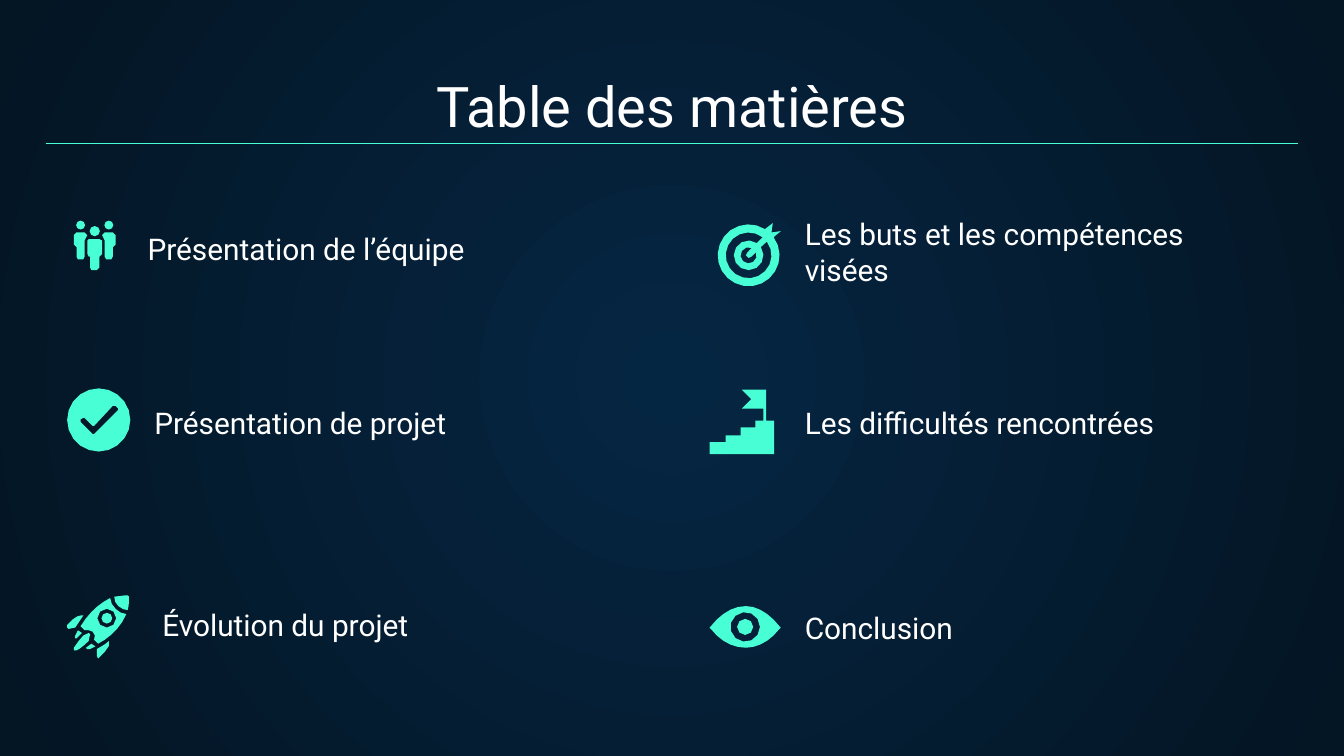
from math import cos, dist, radians, sin

from lxml.etree import SubElement
from pptx import Presentation
from pptx.dml.color import RGBColor
from pptx.enum.shapes import MSO_CONNECTOR
from pptx.enum.text import MSO_ANCHOR, MSO_AUTO_SIZE, PP_ALIGN
from pptx.oxml.ns import qn
from pptx.util import Inches, Pt

FONT, WHITE, MINT = "Roboto", "FFFFFF", "48FFD5"
CENTRE, EDGE = "052643", "041523"
COLS, ROWS = 100, 56.25  # square cells of a tenth of an inch
ICON_STEP = 0.1          # cells per icon unit


def cell(n):
    return Inches(n / 10)


def rgb(value):
    return RGBColor.from_string(value)


def set_text(sp, text, size=16, color=WHITE, align=PP_ALIGN.LEFT):
    tf = sp.text_frame
    tf.word_wrap = True
    tf.auto_size = MSO_AUTO_SIZE.NONE
    tf.vertical_anchor = MSO_ANCHOR.BOTTOM
    tf.margin_left = tf.margin_right = tf.margin_top = tf.margin_bottom = cell(1)
    p = tf.paragraphs[0]
    p.alignment = align
    r = p.add_run()
    r.text = text
    r.font.name, r.font.size, r.font.color.rgb = FONT, Pt(size), rgb(color)


def arc(cx, cy, radius, start=0, end=360):
    """Points along an arc, with angles in degrees; larger arcs get more."""
    n = min(20, max(8, round(radius)))
    angles = [radians(start + (end - start) * i / n) for i in range(n + 1)]
    return [(cx + radius * cos(a), cy + radius * sin(a)) for a in angles]


def curve(path):
    """Points of a path written with M, L and C commands."""
    points = []
    for part in path.replace("M", "L").replace("C", "|C").replace("L", "|").split("|"):
        values = [float(v) for v in part.replace("C", "").split()]
        pairs = list(zip(values[::2], values[1::2]))
        if not part.startswith("C"):
            points += pairs
            continue
        corners = [points[-1]] + pairs
        n = min(5, max(1, round(dist(corners[0], corners[3]) / 4)))
        for i in range(1, n + 1):
            t = i / n
            weights = ((1 - t) ** 3, 3 * t * (1 - t) ** 2, 3 * t * t * (1 - t), t ** 3)
            points.append(tuple(sum(w * c[k] for w, c in zip(weights, corners))
                                for k in (0, 1)))
    return points


def mirror(points, width):
    return [(width - x, y) for x, y in points]


# Each icon is a list of parts; each part is a list of outlines, holes included.
SIDE_HEAD = arc(5, 3.5, 3.3)
SIDE_BODY = curve("M 2 9 0 11 0 18 2 20 2 27 3 29 7 29 8 27 8 15 10 11 8 9")
TEAM = [
    [SIDE_HEAD], [SIDE_BODY], [mirror(SIDE_HEAD, 31)], [mirror(SIDE_BODY, 31)],
    [curve("M 11 14 10 15 10 25 11 27 12 27 12 35 13 37 17 37 19 35 19 27 "
           "21 25 21 15 19 14")],
    [arc(15.5, 8, 3.8)],
]
CHECK = [[
    arc(23.5, 23.5, 23.5),
    curve("M 35 13 36 13 38 15 38 16 20 34 19 34 10 25 10 23 12 22 13 22 19 28 20 28 34 13"),
]]
ROCKET = [
    [curve("M 9 26 7 30 7 32 8 32 12 28")],
    [curve("M 19 36 15 39 16 40 18 40 22 38")],
    [curve("M 17 28 C 16 28 14 29 13 30 C 9 34 7 38 6 39 L 6 41 8 41 "
           "C 10 40 13 38 17 34 C 18 32 19 30 18 29")],
    [curve("M 11 15 C 10 15 7 16 5 18 L 1 22 1 24 2 25 7 24 C 9 21 11 18 13 15")],
    [curve("M 32 34 C 29 37 26 38 23 40 L 23 45 24 47 25 46 29 42 C 32 39 33 36 32 34")],
    [arc(30.5, 17, 4)],
    [curve("M 44 0 36 1 C 36 4 37 6 39 8 C 41 10 44 11 46 11 C 47 8 47 5 47 1 L 46 0")],
    [curve("M 33 2 C 25 6 17 13 11 23 L 14 26 17 26 20 27 C 22 29 22 31 21 33 L 24 36 "
           "C 32 32 41 24 45 14 C 42 14 39 12 37 10 C 35 8 33 5 33 2"), arc(30.5, 17, 7)],
]
TARGET = [[
    arc(23, 24, 23, -58, -396) + [(47, 6), (40, 7), (41, 0)],
    arc(23, 24, 17, -37, 308) + arc(23, 24, 11, 304, -34),
    arc(23, 24, 6, -22, 292) + [(22, 22), (21, 24), (23, 26), (25, 25)],
]]
STAIRS = [[curve("M 24 0 31 7 24 14 40 14 40 23 34 23 34 28 23 28 23 34 12 34 12 39 "
                 "0 39 0 48 48 48 48 23 42 23 42 0")]]
EYE = [[
    curve("M 27 0 C 17 0 8 6 1 15 L 0 16 1 17 C 8 26 17 31 27 31 "
          "C 36 31 45 26 52 17 L 53 16 52 15 C 45 6 36 0 27 0"),
    arc(26.5, 15.5, 11), arc(26.5, 15.5, 6),
]]

# Icon, its column and row, text, and the text's box in cells
ENTRIES = [
    (TEAM, (5.5, 16.4), "Présentation de l’équipe", (10, 16.5, 31, 4.3)),
    (CHECK, (5, 28.9), "Présentation de projet", (10.5, 29.5, 31, 4.3)),
    (ROCKET, (4.9, 44.3), "Évolution du projet", (11.1, 44.5, 31, 4.3)),
    (TARGET, (53.4, 16.6), "Les buts et les compétences visées", (58.9, 15.8, 31, 6.6)),
    (STAIRS, (52.8, 29), "Les difficultés rencontrées", (58.9, 29.5, 31, 4.3)),
    (EYE, (52.8, 45.1), "Conclusion", (58.9, 43.5, 31, 5.5)),
]


def add_background(s):
    fill = s.background.fill
    fill.gradient()
    for stop, color, position in zip(fill.gradient_stops, (CENTRE, EDGE), (0, 1)):
        stop.color.rgb = rgb(color)
        stop.position = position
    grad = s.element.find(".//" + qn("a:gradFill"))
    grad.remove(grad.find(qn("a:lin")))
    circle = SubElement(grad, qn("a:path"), {"path": "circle"})
    SubElement(circle, qn("a:fillToRect"), dict.fromkeys("ltrb", "50000"))


def add_title(s, text, box):
    """Centred title with a rule across the box, just above its foot."""
    left, top, width, height = box
    sp = s.shapes.title
    sp.left, sp.top, sp.width, sp.height = map(cell, box)
    set_text(sp, text, size=30, align=PP_ALIGN.CENTER)
    y = cell(top + height - 0.6)
    line = s.shapes.add_connector(MSO_CONNECTOR.STRAIGHT, cell(left), y,
                                  cell(left + width), y)
    line.line.color.rgb = rgb(MINT)
    line.line.width = Pt(0.75)
    SubElement(line.element.spPr, qn("a:effectLst"))


def add_icon(s, parts, left, top):
    shapes = s.shapes if len(parts) == 1 else s.shapes.add_group_shape().shapes
    for outlines in parts:
        placed = [[(cell(left + x * ICON_STEP), cell(top + y * ICON_STEP))
                   for x, y in points] for points in outlines]
        builder = shapes.build_freeform(*placed[0][0])
        builder.add_line_segments(placed[0][1:], close=True)
        for points in placed[1:]:
            builder.move_to(*points[0])
            builder.add_line_segments(points[1:], close=True)
        sp = builder.convert_to_shape()
        sp.shadow.inherit = False
        sp.fill.solid()
        sp.fill.fore_color.rgb = rgb(MINT)
        sp.line.fill.background()


def add_entry(s, icon, spot, text, box):
    add_icon(s, icon, *spot)
    set_text(s.shapes.add_textbox(*map(cell, box)), text)


def main():
    prs = Presentation()
    prs.slide_width, prs.slide_height = cell(COLS), cell(ROWS)
    s = prs.slides.add_slide(prs.slide_layouts[5])
    add_background(s)
    add_title(s, "Table des matières", (3.4, 4.7, 93.2, 6.6))
    for entry in ENTRIES:
        add_entry(s, *entry)
    prs.save("out.pptx")


if __name__ == "__main__":
    main()
